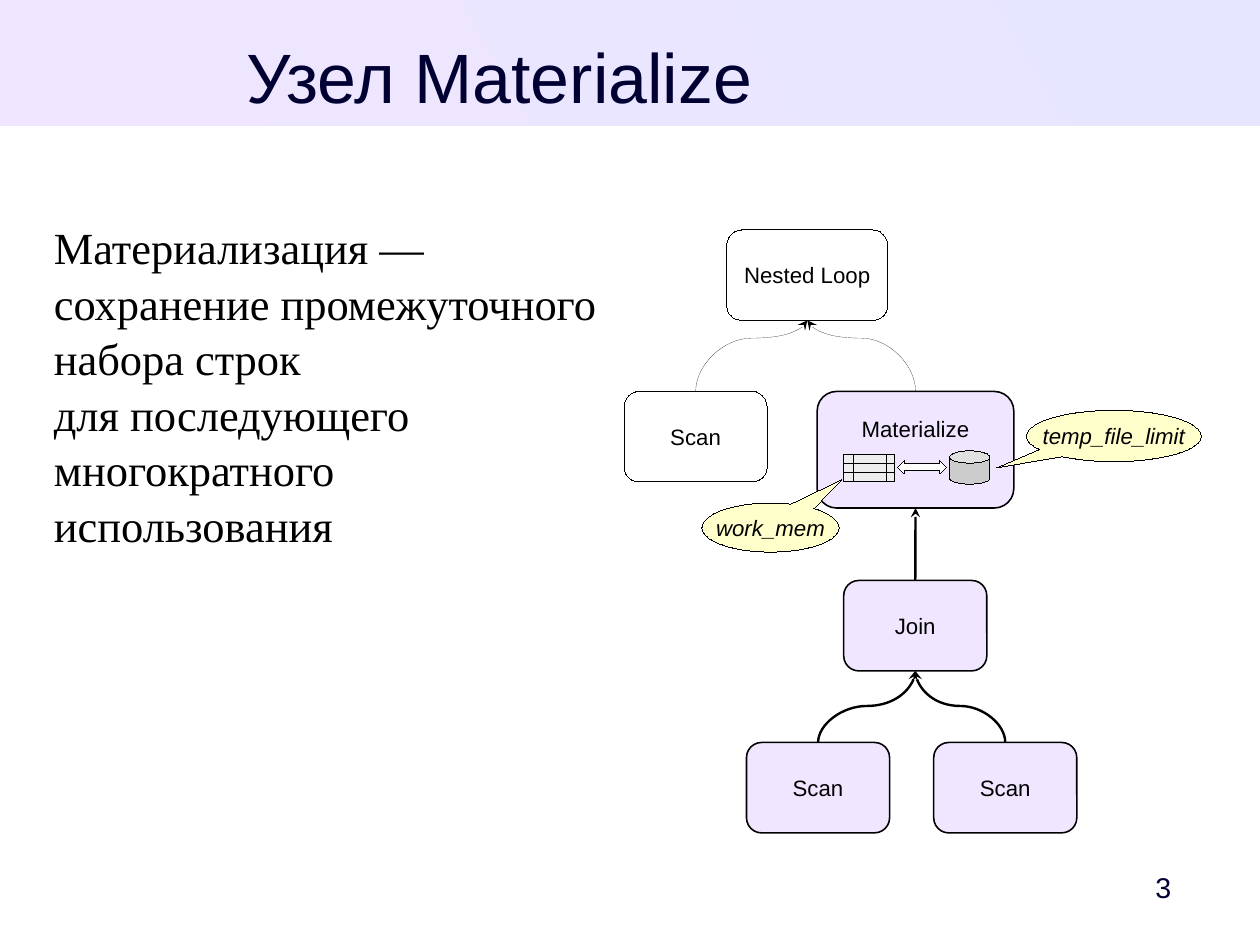
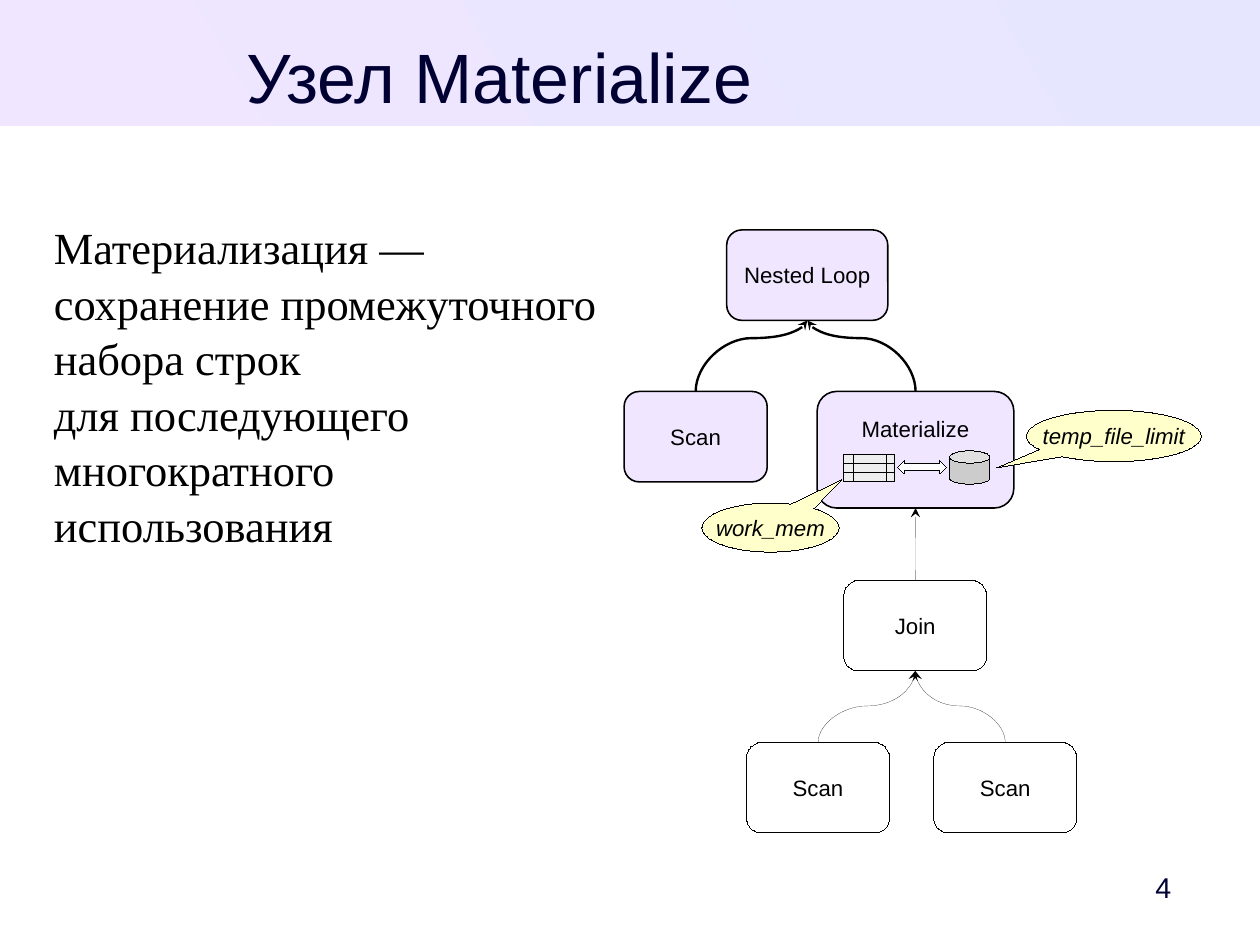
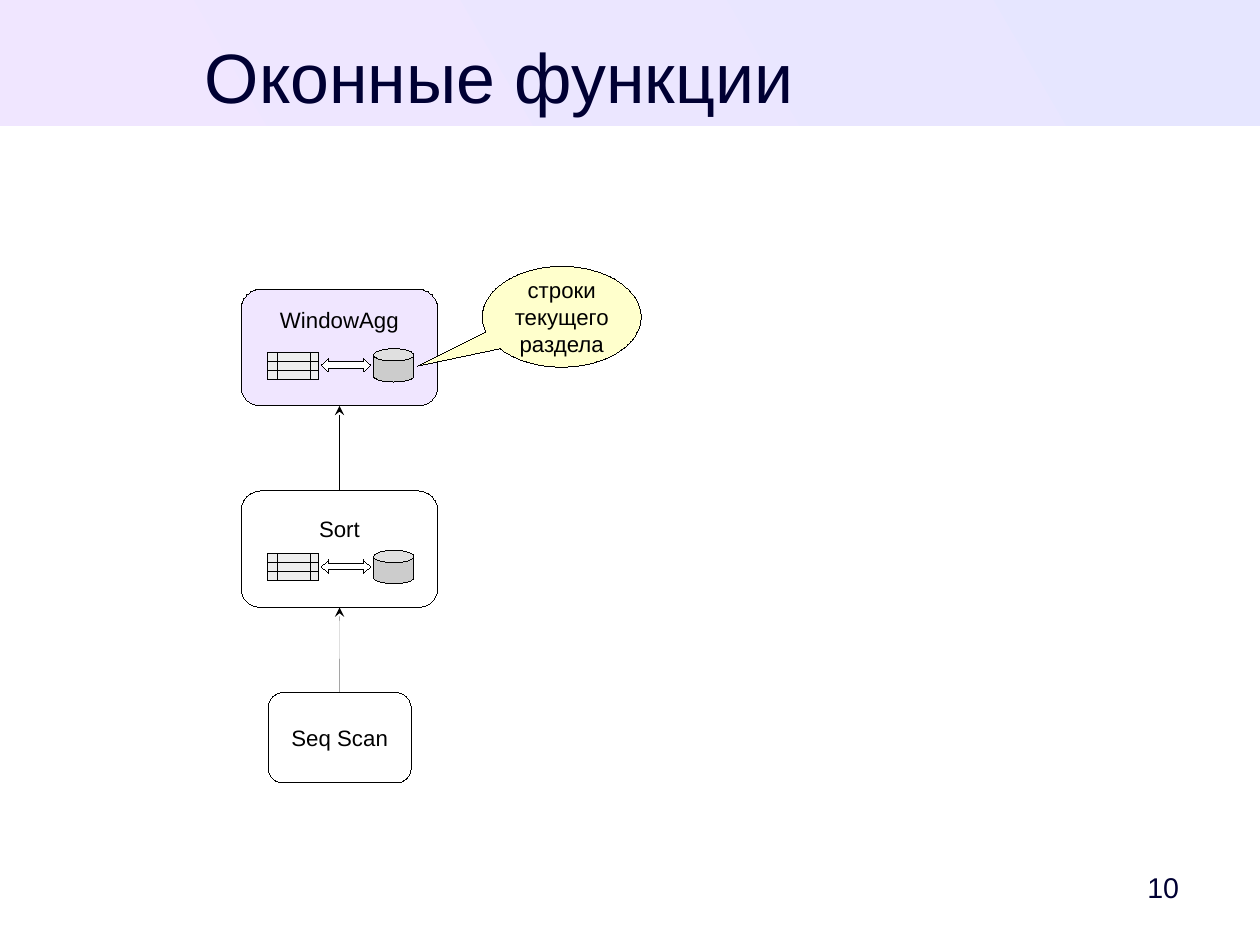
from lxml import etree
from pptx import Presentation
from pptx.dml.color import RGBColor
from pptx.enum import shapes, text
from pptx.oxml.ns import qn
from pptx.util import Cm, Pt

WHITE, LILAC, YELLOW = "FFFFFF", "F0E6FF", "FFFFCC"
BLACK, NAVY = "000000", "000033"
SHAPE = shapes.MSO_SHAPE
LINE = shapes.MSO_CONNECTOR
HAIRLINE = 0
SMALL, TALL = (3.18, 2.01), (4.37, 2.59)


def rgb(value):
    return RGBColor.from_string(value)


def stroke(sp, weight):
    """Black line; the width is stated even when it is zero."""
    sp.line.color.rgb = rgb(BLACK)
    sp._element.spPr.find(qn("a:ln")).set("w", str(Pt(weight)))


class Deck:
    """The shared style and the slide being filled."""

    def __init__(self):
        self.prs = Presentation()
        self.prs.slide_width, self.prs.slide_height = Cm(28), Cm(21)

    def start(self, title, number):
        """New slide with its band, title and page number."""
        self.s = self.prs.slides.add_slide(self.prs.slide_layouts[6])
        band = self.s.shapes.add_shape(SHAPE.RECTANGLE, 0, 0, Cm(28), Cm(2.8))
        band.shadow.inherit = False
        band.line.fill.background()
        band.fill.gradient()
        band.fill.gradient_angle = 210
        for stop, color in zip(band.fill.gradient_stops, ("E6E6FF", LILAC)):
            stop.color.rgb = rgb(color)
        self.label(1.2, 0.75, 19.8, 1.75, [title], 44, color=NAVY)
        self.label(24.75, 19.33, 2.2, 0.9, [number], 18, color=NAVY)

    def add_lines(self, tf, lines, size, font="Arial", color=BLACK, italic=False,
                  align=text.PP_ALIGN.CENTER):
        p = tf.paragraphs[0]
        p.alignment = align
        for i, line in enumerate(lines):
            if i:
                p.add_line_break()
            r = p.add_run()
            r.text = line
            r.font.size, r.font.name, r.font.italic = Pt(size), font, italic
            r.font.color.rgb = rgb(color)
        return p

    def label(self, x, y, w, h, lines, size, **style):
        tf = self.s.shapes.add_textbox(Cm(x), Cm(y), Cm(w), Cm(h)).text_frame
        tf.word_wrap = True
        tf.margin_left = tf.margin_right = tf.margin_top = tf.margin_bottom = 0
        return self.add_lines(tf, lines, size, **style)

    def body(self, lines):
        p = self.label(1.2, 4.85, 25.6, 14.5, lines, 28,
                       font="Times New Roman", align=text.PP_ALIGN.LEFT)
        p.line_spacing = 1.04

    def shape(self, kind, x, y, w, h, fill, weight=HAIRLINE, adjust=(), into=None):
        sp = (into or self.s).shapes.add_shape(kind, Cm(x), Cm(y), Cm(w), Cm(h))
        sp.shadow.inherit = False
        sp.fill.solid()
        sp.fill.fore_color.rgb = rgb(fill)
        stroke(sp, weight)
        for i, value in enumerate(adjust):
            sp.adjustments[i] = value
        return sp

    def node(self, name, x, y, size=SMALL, fill=WHITE, weight=HAIRLINE, top=None):
        """Plan node; with top given, the name hangs that far below the edge."""
        sp = self.shape(SHAPE.ROUNDED_RECTANGLE, x, y, *size, fill, weight)
        tf = sp.text_frame
        tf.word_wrap = False
        if top is not None:
            tf.vertical_anchor = text.MSO_ANCHOR.TOP
            tf.margin_top = Cm(top)
            self.storage(x + 0.58, y + 1.4)
        self.add_lines(tf, [name], 14)
        return sp

    def storage(self, x, y):
        """Table in memory, double arrow, disk."""
        w, h = 1.14, 0.6
        table = self.s.shapes.add_group_shape()
        self.shape(SHAPE.RECTANGLE, x, y, w, h, "EEEEEE", into=table)
        for dy in (h / 3, 2 * h / 3):
            self.line(Cm(x), Cm(y + dy), Cm(x + w), Cm(y + dy), into=table)
        for dx in (0.22, 0.97):
            self.line(Cm(x + dx), Cm(y), Cm(x + dx), Cm(y + h), into=table)
        self.shape(SHAPE.LEFT_RIGHT_ARROW, x + 1.2, y + 0.13, 1.1, 0.3, WHITE,
                   adjust=(0.46, 0.55))
        self.shape(SHAPE.CAN, x + 2.36, y - 0.08, 0.9, 0.74, "CCCCCC",
                   adjust=(0.37,))

    def callout(self, lines, x, y, w, h, tip, italic=False):
        sp = self.shape(SHAPE.OVAL_CALLOUT, x, y, w, h, YELLOW, adjust=tip)
        sp.text_frame.word_wrap = False
        sp.text_frame.vertical_anchor = text.MSO_ANCHOR.MIDDLE
        self.add_lines(sp.text_frame, lines, 14, italic=italic)

    def line(self, x1, y1, x2, y2, weight=HAIRLINE, kind=LINE.STRAIGHT, into=None):
        c = (into or self.s).shapes.add_connector(
            kind, *(int(v) for v in (x1, y1, x2, y2)))
        stroke(c, weight)
        etree.SubElement(c._element.spPr, qn("a:effectLst"))
        return c

    def link(self, parent, child, weight=HAIRLINE, bend=None):
        """Arrow from the child's top to the parent's bottom, curved if bent."""
        x1, y1 = parent.left + parent.width / 2, parent.top + parent.height
        x2, y2 = child.left + child.width / 2, child.top
        if bend is None:
            c = self.line(x1, y1, x2, y2, weight)
        else:
            mx, my = (x1 + x2) / 2, (y1 + y2) / 2
            dx, dy = abs(x2 - x1) / 2, (y2 - y1) / 2
            c = self.line(mx - dy, my - dx, mx + dy, my + dx, weight, LINE.CURVE)
            spPr = c._element.spPr
            xfrm = spPr.find(qn("a:xfrm"))
            xfrm.set("rot", str((90 if x2 < x1 else 270) * 60000))
            if x2 > x1:
                xfrm.set("flipH", "1")
            guides = spPr.find(qn("a:prstGeom")).get_or_add_avLst()
            etree.SubElement(guides, qn("a:gd"), name="adj1",
                             fmla=f"val {round(bend * 100000)}")
        ln = c._element.spPr.find(qn("a:ln"))
        etree.SubElement(ln, qn("a:headEnd"), type="stealth")


def materialize_slide(deck, number, upper_active):
    """Plan tree with either its upper or its lower part highlighted."""
    deck.start("Узел Materialize", number)
    deck.body(["Материализация —", "сохранение промежуточного", "набора строк",
               "для последующего", "многократного", "использования"])
    active, idle = {"fill": LILAC, "weight": 1}, {}
    upper, lower = (active, idle) if upper_active else (idle, active)
    upper_link, lower_link = (1.5, HAIRLINE) if upper_active else (HAIRLINE, 1.5)

    loop = deck.node("Nested Loop", 16.15, 5.11, (3.58, 2.01), **upper)
    outer = deck.node("Scan", 13.87, 8.7, **upper)
    inner = deck.node("Materialize", 18.16, 8.7, TALL, top=0.41, **active)
    join = deck.node("Join", 18.75, 12.9, **lower)
    scans = [deck.node("Scan", x, 16.5, **lower) for x in (16.59, 20.75)]

    for child in (outer, inner):
        deck.link(loop, child, upper_link, bend=0.25)
    deck.link(inner, join, lower_link)
    for scan in scans:
        deck.link(join, scan, lower_link, bend=0.49)

    deck.callout(["work_mem"], 15.6, 11.18, 3.05, 1.09, (0.52, -0.98), italic=True)
    deck.callout(["temp_file_limit"], 22.81, 9.12, 3.89, 1.14, (-0.67, 0.62),
                 italic=True)


def window_slide(deck):
    deck.start("Оконные функции", "10")
    top, step = 6.43, 4.48
    window = deck.node("WindowAgg", 5.36, top, TALL, fill=LILAC, top=0.25)
    sort = deck.node("Sort", 5.36, top + step, TALL, top=0.41)
    scan = deck.node("Seq Scan", 5.96, top + 2 * step)
    deck.link(window, sort)
    deck.link(sort, scan)
    deck.callout(["строки", "текущего", "раздела"], 10.72, 5.92, 3.53, 2.24,
                 (-0.91, 0.49))


def main():
    deck = Deck()
    materialize_slide(deck, "3", upper_active=False)
    materialize_slide(deck, "4", upper_active=True)
    window_slide(deck)
    deck.prs.save("out.pptx")


if __name__ == "__main__":
    main()
